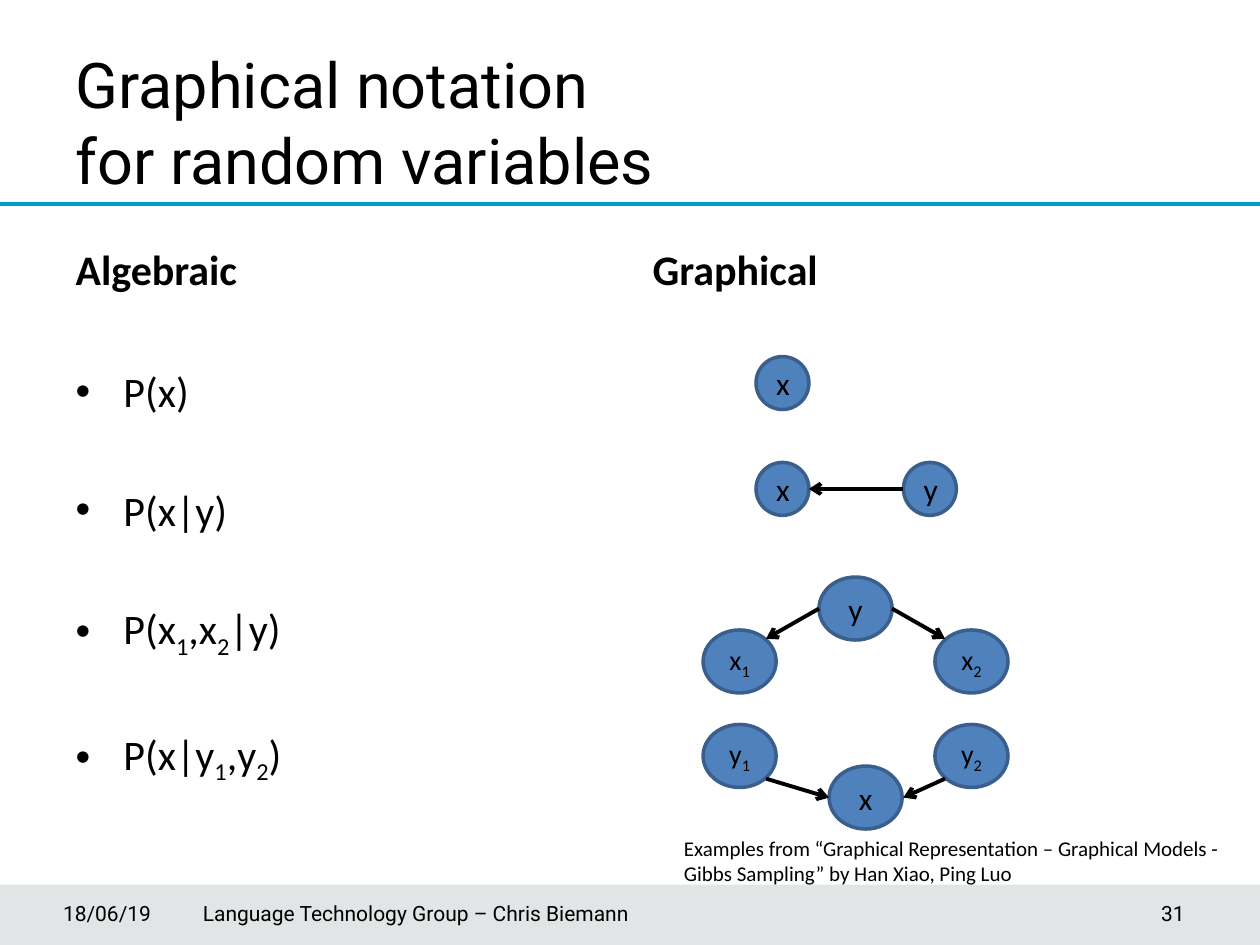
from dataclasses import dataclass

from lxml.etree import SubElement
from pptx import Presentation
from pptx.dml.color import RGBColor as Rgb
from pptx.enum.shapes import MSO_CONNECTOR as Connector, MSO_SHAPE as Preset
from pptx.enum.text import MSO_ANCHOR as Anchor, MSO_AUTO_SIZE as Fit, PP_ALIGN as Align
from pptx.oxml.ns import qn
from pptx.util import Pt

EMU_PER_PX = 9144


@dataclass(frozen=True)
class Theme:
    black: Rgb = Rgb(0, 0, 0)
    node_fill: Rgb = Rgb(0x4F, 0x81, 0xBD)
    node_edge: Rgb = Rgb(0x3A, 0x5F, 0x8C)
    rule: Rgb = Rgb(0x00, 0x9C, 0xD1)
    footer: Rgb = Rgb(0x3B, 0x51, 0x5B)
    heading_font: str = "Roboto"
    text_font: str = "Calibri"
    title: int = 36
    body: int = 24
    node: int = 18
    indexed_node: int = 16
    small: int = 12


THEME = Theme()


def px(*lengths):
    return [length * EMU_PER_PX for length in lengths]


def assign(target, **values):
    for name, value in values.items():
        setattr(target, name, value)


def place(shape, box):
    assign(shape, **dict(zip(("left", "top", "width", "height"), px(*box))))


def write(paragraph, text, size, face=THEME.text_font, bold=False):
    first, *indexed = text.split("_")
    pieces = [(first, False)]
    for part in indexed:
        pieces += [(part[0], True), (part[1:], False)]
    for piece, is_index in pieces:
        if not piece:
            continue
        run = paragraph.add_run()
        run.text = piece
        assign(run.font, name=face, size=Pt(size), bold=bold)
        run.font.color.rgb = THEME.black
        if is_index:
            run.font._element.set("baseline", "-25000")


def add_title(slide, lines, box):
    title = slide.shapes.title
    place(title, box)
    assign(title.text_frame, auto_size=Fit.NONE, vertical_anchor=Anchor.MIDDLE)
    paragraph = title.text_frame.paragraphs[0]
    paragraph.alignment = Align.LEFT
    for number, line in enumerate(lines):
        if number:
            paragraph.add_line_break()
        write(paragraph, line, THEME.title, THEME.heading_font)


def add_heading(slide, index, text, box):
    heading = slide.placeholders[index]
    place(heading, box)
    assign(heading.text_frame, auto_size=Fit.NONE, vertical_anchor=Anchor.BOTTOM)
    paragraph = heading.text_frame.paragraphs[0]
    paragraph.space_before = Pt(0)
    write(paragraph, text, THEME.body, bold=True)


def add_formulas(slide, index, formulas, box):
    listing = slide.placeholders[index]
    place(listing, box)
    frame = listing.text_frame
    assign(frame, auto_size=Fit.NONE, vertical_anchor=Anchor.TOP)
    for number, formula in enumerate(formulas):
        paragraph = frame.add_paragraph() if number else frame.paragraphs[0]
        paragraph.space_before = Pt(39 if number else 0)
        properties = paragraph._p.get_or_add_pPr()
        indent, = px(38)
        for name, value in {"marL": indent, "indent": -indent}.items():
            properties.set(name, str(value))
        SubElement(properties, qn("a:buFont"), typeface="Arial")
        SubElement(properties, qn("a:buChar"), char="•")
        write(paragraph, formula, THEME.body)


def add_node(slide, label, left, top, width, height):
    node = slide.shapes.add_shape(Preset.OVAL, *px(left, top, width, height))
    node.shadow.inherit = False
    node.fill.solid()
    node.fill.fore_color.rgb = THEME.node_fill
    node.line.color.rgb = THEME.node_edge
    node.line.width = Pt(2)
    node.text_frame.vertical_anchor = Anchor.MIDDLE
    paragraph = node.text_frame.paragraphs[0]
    paragraph.alignment = Align.CENTER
    write(paragraph, label, THEME.indexed_node if "_" in label else THEME.node)


def add_line(slide, start, end, color, width, arrow=False):
    line = slide.shapes.add_connector(Connector.STRAIGHT, *px(*start, *end))
    line.line.color.rgb = color
    line.line.width = Pt(width)
    if arrow:
        SubElement(line.line._get_or_add_ln(), qn("a:tailEnd"), type="arrow")
    SubElement(line._element.spPr, qn("a:effectLst"))


def add_text(slide, text, box, face=THEME.text_font, align=Align.LEFT, **frame_format):
    frame = slide.shapes.add_textbox(*px(*box)).text_frame
    assign(frame, word_wrap=True, **frame_format)
    paragraph = frame.paragraphs[0]
    paragraph.alignment = align
    write(paragraph, text, THEME.small, face)


def add_frame(slide):
    band = slide.shapes.add_shape(Preset.RECTANGLE, *px(0, 702, 1000, 48))
    band.shadow.inherit = False
    band.fill.solid()
    band.fill.fore_color.rgb = THEME.footer
    band.line.fill.background()
    tint = band._element.spPr.find(qn("a:solidFill"))[0]
    SubElement(tint, qn("a:alpha"), val="15000")
    add_line(slide, (0, 162), (1000, 162), THEME.rule, 2)


def add_footer(slide):
    style = {"face": THEME.heading_font, "vertical_anchor": Anchor.MIDDLE}
    add_text(slide, "31", (798, 705, 152, 40), align=Align.RIGHT, **style)
    add_text(slide, "18/06/19", (50, 705, 99, 40), margin_left=0, **style)
    add_text(slide, "Language Technology Group – Chris Biemann",
             (161, 705, 491, 40), margin_left=0, **style)


def add_models(slide):
    small, large = (42, 42), (58, 50)
    nodes = [
        ("x", 600, 283, small),
        ("x", 600, 367, small), ("y", 717, 367, small),
        ("y", 650, 458, large), ("x_1", 558, 500, large), ("x_2", 742, 500, large),
        ("x", 658, 608, large), ("y_1", 558, 575, large), ("y_2", 742, 575, large),
    ]
    for label, left, top, size in nodes:
        add_node(slide, label, left, top, *size)
    arrows = [
        ((717, 388), (642, 388)),
        ((650, 483), (608, 507)), ((708, 483), (750, 507)),
        ((608, 618), (658, 633)), ((750, 618), (717, 633)),
    ]
    for start, end in arrows:
        add_line(slide, start, end, THEME.black, 2.25, arrow=True)


def main():
    deck = Presentation()
    deck.slide_width, deck.slide_height = px(1000, 750)
    slide = deck.slides.add_slide(deck.slide_layouts.get_by_name("Comparison"))
    unused = slide.placeholders[4]._element
    unused.getparent().remove(unused)

    add_frame(slide)
    add_title(slide, ["Graphical notation ", "for random variables"], (50, 34, 900, 125))
    add_heading(slide, 1, "Algebraic", (50, 168, 442, 70))
    add_formulas(slide, 2, ["P(x)", "P(x|y)", "P(x_1,x_2|y)", "P(x|y_1,y_2)"],
                 (50, 285, 442, 385))
    add_heading(slide, 3, "Graphical", (508, 168, 442, 70))
    add_models(slide)
    add_text(slide, "Examples from “Graphical Representation – Graphical Models - "
             "Gibbs Sampling” by Han Xiao, Ping Luo", (533, 658, 467, 50))
    add_footer(slide)
    deck.save("out.pptx")


if __name__ == "__main__":
    main()
